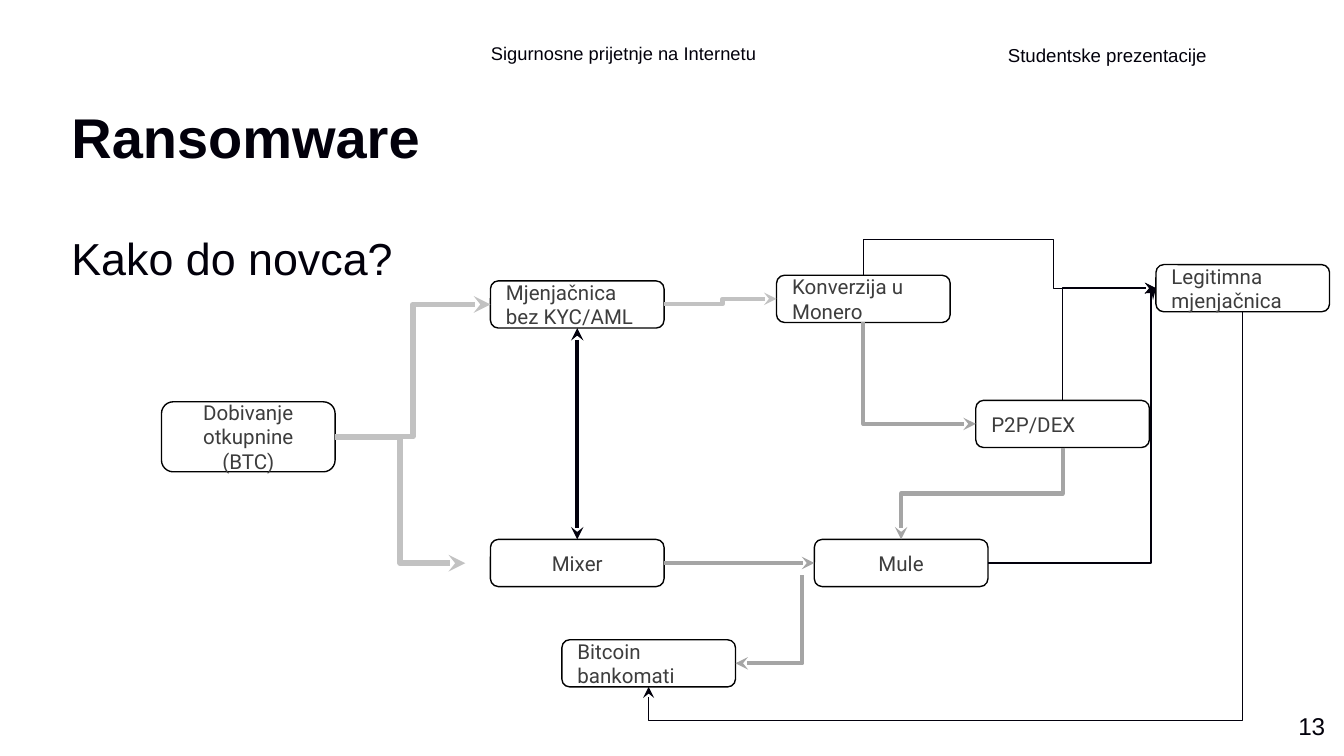
from lxml import etree
from pptx import Presentation
from pptx.dml import color
from pptx.enum import shapes, text
from pptx.oxml import ns
from pptx.util import Pt

INK = "02000B"
PALE, GREY, DARK = "C2C2C2", "A5A5A5", "02000C"
NODE_WIDTH, NODE_HEIGHT = 93, 25.25
SITES = {"top": (0, 0.5, 0), "left": (1, 0, 0.5), "bottom": (2, 0.5, 1), "right": (3, 1, 0.5)}
LEFT, CENTER, RIGHT = text.PP_ALIGN.LEFT, text.PP_ALIGN.CENTER, text.PP_ALIGN.RIGHT
TOP, MIDDLE, BOTTOM = text.MSO_ANCHOR.TOP, text.MSO_ANCHOR.MIDDLE, text.MSO_ANCHOR.BOTTOM

NODES = {
    "monero": ("Konverzija u Monero", 330, 19.5, NODE_HEIGHT, LEFT),
    "exchange": ("Mjenjačnica bez KYC/AML", 176.75, 22.5, NODE_HEIGHT, LEFT),
    "ransom": ("Dobivanje otkupnine (BTC)", 0.5, 87.25, 37.5, CENTER),
    "mixer": ("Mixer", 176.75, 161, NODE_HEIGHT, CENTER),
    "p2p": ("P2P/DEX", 436.75, 86.5, NODE_HEIGHT, LEFT),
    "mule": ("Mule", 350.25, 161, NODE_HEIGHT, CENTER),
    "atm": ("Bitcoin bankomati", 215, 214.75, NODE_HEIGHT, LEFT),
    "legal": ("Legitimna mjenjačnica", 533.25, 13.75, NODE_HEIGHT, LEFT),
}

LINKS = [
    ("ransom", "right", (163.25, 173.75), "left", PALE, 3, [0.5]),
    ("ransom", "right", "exchange", "left", PALE, 3, [0.5]),
    ("exchange", "right", "monero", "left", PALE, 2.25, [0.52]),
    ("mixer", "top", "exchange", "bottom", DARK, 2.25, []),
    ("monero", "bottom", "p2p", "left", GREY, 2.25, []),
    ("mixer", "right", "mule", "left", GREY, 2.25, []),
    ("p2p", "bottom", "mule", "top", GREY, 2.25, [0.5]),
    ((343.75, 180.25), "bottom", "atm", "right", GREY, 2.25, []),
    ("p2p", "top", "legal", "left", DARK, 0.75, []),
    ("monero", "top", "legal", "left", DARK, 0.75, [-2.77, 0.65]),
    ("mule", "right", "legal", "left", DARK, 0.75, [0.97]),
    ("legal", "bottom", "atm", "bottom", DARK, 0.75, [1.09]),
]


def rgb(value):
    return color.RGBColor.from_string(value)


def write(shape, words, size, ink=INK, font="Arial", align=LEFT, anchor=MIDDLE,
          inset=(5.25, 2.75), bold=False, spacing=1.0):
    frame = shape.text_frame
    frame.word_wrap = True
    frame.vertical_anchor = anchor
    frame.margin_left = frame.margin_right = Pt(inset[0])
    frame.margin_top = frame.margin_bottom = Pt(inset[1])
    para = frame.paragraphs[0]
    para.text = words
    para.alignment = align
    para.line_spacing = spacing
    para.font.name = font
    para.font.size = Pt(size)
    para.font.bold = bold
    para.font.color.rgb = rgb(ink)


def add_label(page, box, words, size, **style):
    write(page.shapes.add_textbox(*map(Pt, box)), words, size, **style)


def add_header(page, box):
    left, top, width, height = box
    add_label(page, (left, top, 160, height), "Sigurnosne prijetnje na Internetu", 9.8, spacing=0.8)
    add_label(page, (left + width - 160, top, 160, height), "Studentske prezentacije", 10)


def add_headings(page, box):
    left, top, width, height = box
    add_label(page, (left, top, width, 42.5), "Ransomware", 30, anchor=BOTTOM, bold=True)
    add_label(page, (left, top + height - 56, 184.5, 56), "Kako do novca?", 24, anchor=TOP, spacing=1.5)


def add_page_number(page, box):
    add_label(page, box, "13", 13, align=RIGHT, anchor=TOP, inset=(7.2, 7.2))


def add_node(page, box, words, align):
    node = page.shapes.add_shape(shapes.MSO_SHAPE.ROUNDED_RECTANGLE, *map(Pt, box))
    node.shadow.inherit = False
    node.fill.background()
    node.line.color.rgb = rgb("000000")
    node.line.width = Pt(0.75)
    write(node, words, 11, ink="3D3D3D", font="Roboto", align=align, inset=(7.2, 7.2))
    return node


def site_point(box, side):
    left, top, width, height = box
    _, across, down = SITES[side]
    return left + width * across, top + height * down


def bend(connector, start, end, start_side, end_side, turns):
    (x1, y1), (x2, y2) = start, end
    upright = start_side in ("top", "bottom")
    along, across = (y2 - y1, x1 - x2) if upright else (x2 - x1, y2 - y1)
    width, height = abs(along), abs(across)
    connector.left = Pt((x1 + x2 - width) / 2)
    connector.top = Pt((y1 + y2 - height) / 2)
    connector.width, connector.height = Pt(width), Pt(height)
    props = connector._element.spPr
    frame = props.find(ns.qn("a:xfrm"))
    frame.set("rot", "5400000" if upright else "0")
    frame.set("flipH", str(int(along < 0)))
    frame.set("flipV", str(int(across < 0)))
    geometry = props.find(ns.qn("a:prstGeom"))
    geometry.set("prst", f"bentConnector{len(turns) + 2}")
    guides = geometry.find(ns.qn("a:avLst"))
    for number, turn in enumerate(turns, 1):
        guide = etree.SubElement(guides, ns.qn("a:gd"))
        guide.set("name", f"adj{number}")
        guide.set("fmla", f"val {round(turn * 100000)}")


def add_link(page, start, end, sides, ink, weight, turns, both_ways):
    straight = start[0] == end[0] or start[1] == end[1]
    kind = shapes.MSO_CONNECTOR.STRAIGHT if straight else shapes.MSO_CONNECTOR.ELBOW
    connector = page.shapes.add_connector(kind, *map(Pt, (*start, *end)))
    if not straight:
        bend(connector, start, end, *sides, turns)
    connector.line.color.rgb = rgb(ink)
    connector.line.width = Pt(weight)
    line = connector.line._get_or_add_ln()
    for tip in ["headEnd", "tailEnd"] if both_ways else ["tailEnd"]:
        etree.SubElement(line, ns.qn(f"a:{tip}")).set("type", "stealth")
    etree.SubElement(connector._element.spPr, ns.qn("a:effectLst"))


def add_flow(page, box):
    left, top = box[:2]
    boxes = {}
    for name, (words, x, y, height, align) in NODES.items():
        boxes[name] = (left + x, top + y, NODE_WIDTH, height)
        add_node(page, boxes[name], words, align)

    def locate(place, side):
        if place in boxes:
            return site_point(boxes[place], side)
        return left + place[0], top + place[1]

    for source, out_side, target, in_side, ink, weight, turns in LINKS:
        add_link(page, locate(source, out_side), locate(target, in_side), (out_side, in_side),
                 ink, weight, turns, (source, target) == ("mixer", "exchange"))


def main():
    deck = Presentation()
    deck.slide_width, deck.slide_height = Pt(720), Pt(405)
    page = deck.slides.add_slide(deck.slide_layouts[6])
    add_header(page, (257.75, 17.25, 437, 24.5))
    add_headings(page, (33, 51, 614, 111.5))
    add_flow(page, (86, 128, 627, 260))
    add_page_number(page, (674, 373.75, 43, 31))
    deck.save("out.pptx")


if __name__ == "__main__":
    main()
